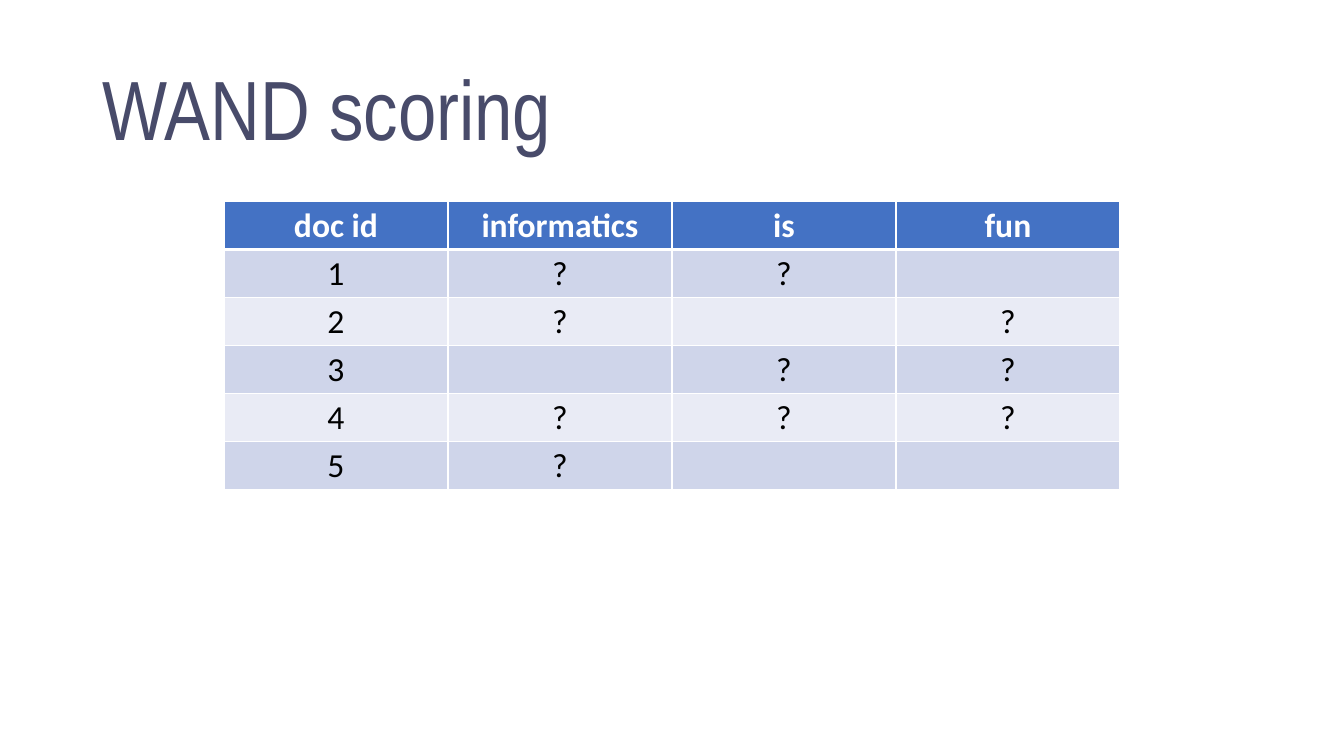
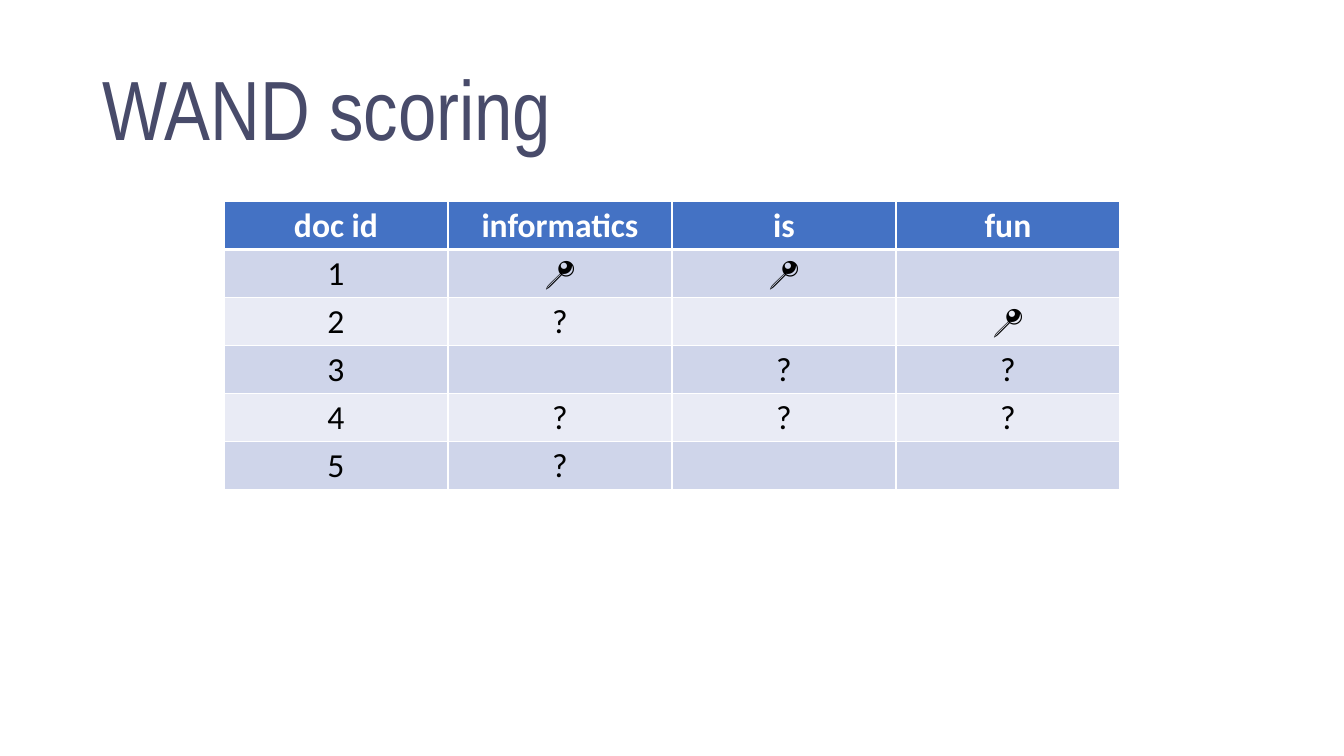
from lxml import etree
from pptx import Presentation
from pptx import util as u
from pptx.dml.color import RGBColor
from pptx.enum import text
from pptx.oxml.ns import qn

WIDTH, HEIGHT = u.Inches(13.33), u.Inches(7.5)
TITLE = "WAND scoring"
TERMS = ["doc id", "informatics", "is", "fun"]
UNSCORED = [
    ["1", "?", "?", ""],
    ["2", "?", "", "?"],
    ["3", "", "?", "?"],
    ["4", "?", "?", "?"],
    ["5", "?", "", ""],
]
PINNED = [(0, 1), (0, 2), (1, 3)]
WHITE, BLACK = "FFFFFF", "000000"
HEADER_FILL = "4472C4"
BANDS = ["CFD5EA", "E9EBF5"]
TITLE_FONT = {"name": "Arial Narrow", "size": u.Pt(60), "bold": False}
CELL_FONT = {"name": "Calibri", "size": u.Pt(24)}
CELL_FORMAT = {
    "margin_left": u.Pt(5),
    "margin_right": u.Pt(5),
    "margin_top": u.Pt(2.5),
    "margin_bottom": u.Pt(2.5),
    "vertical_anchor": text.MSO_ANCHOR.MIDDLE,
}


def apply(target, values):
    """Set every attribute named in values on the target."""
    for name, value in values.items():
        setattr(target, name, value)


def colour(target, hex_code):
    """Give a font or fill colour its hex value."""
    target.rgb = RGBColor.from_string(hex_code)


def add_title(slide):
    """Place and format the slide title."""
    title = slide.shapes.title
    width = u.Inches(11.5)
    apply(title, {"left": (WIDTH - width) // 2, "top": u.Inches(0.4),
                  "width": width, "height": u.Inches(1.45)})
    apply(title.text_frame, {"text": TITLE, "word_wrap": True,
                             "auto_size": text.MSO_AUTO_SIZE.NONE,
                             "vertical_anchor": text.MSO_ANCHOR.MIDDLE})
    line = title.text_frame.paragraphs[0]
    apply(line, {"alignment": text.PP_ALIGN.LEFT, "line_spacing": 0.9})
    apply(line.runs[0].font, TITLE_FONT)
    colour(line.runs[0].font.color, "484B6A")


def add_borders(cell, top, bottom):
    """Draw white cell borders, with top and bottom widths in points."""
    properties = cell._tc.get_or_add_tcPr()
    for side, points in {"L": 1, "R": 1, "T": top, "B": bottom}.items():
        border = etree.SubElement(properties, qn(f"a:ln{side}"), w=str(u.Pt(points)))
        fill = etree.SubElement(border, qn("a:solidFill"))
        etree.SubElement(fill, qn("a:srgbClr"), val=WHITE)


def fill_cell(cell, content, row):
    """Write and format one cell of the given row."""
    header = row == 0
    apply(cell, CELL_FORMAT)
    add_borders(cell, top=3 if row == 1 else 1, bottom=3 if header else 1)
    cell.fill.solid()
    colour(cell.fill.fore_color, HEADER_FILL if header else BANDS[(row - 1) % 2])
    line = cell.text_frame.paragraphs[0]
    line.alignment = text.PP_ALIGN.CENTER
    if content:
        font = line.add_run().font
        line.runs[0].text = content
        apply(font, {**CELL_FONT, "bold": header})
        colour(font.color, WHITE if header else BLACK)


def add_scores(slide, scores):
    """Add the table of documents and term scores."""
    rows = [TERMS, *scores]
    table = slide.shapes.add_table(
        len(rows), len(TERMS), WIDTH // 6, u.Inches(2),
        WIDTH * 2 // 3, u.Inches(0.47) * len(rows)).table
    for row, contents in enumerate(rows):
        for column, content in enumerate(contents):
            fill_cell(table.cell(row, column), content, row)


def pin(scores, positions):
    """Return the scores with pins at the given positions."""
    return [["📍" if (row, column) in positions else score
             for column, score in enumerate(line)]
            for row, line in enumerate(scores)]


def main():
    """Build both scoring slides and save them."""
    deck = Presentation()
    apply(deck, {"slide_width": WIDTH, "slide_height": HEIGHT})
    for scores in (UNSCORED, pin(UNSCORED, PINNED)):
        slide = deck.slides.add_slide(deck.slide_layouts.get_by_name("Title Only"))
        add_title(slide)
        add_scores(slide, scores)
    deck.save("out.pptx")


if __name__ == "__main__":
    main()
